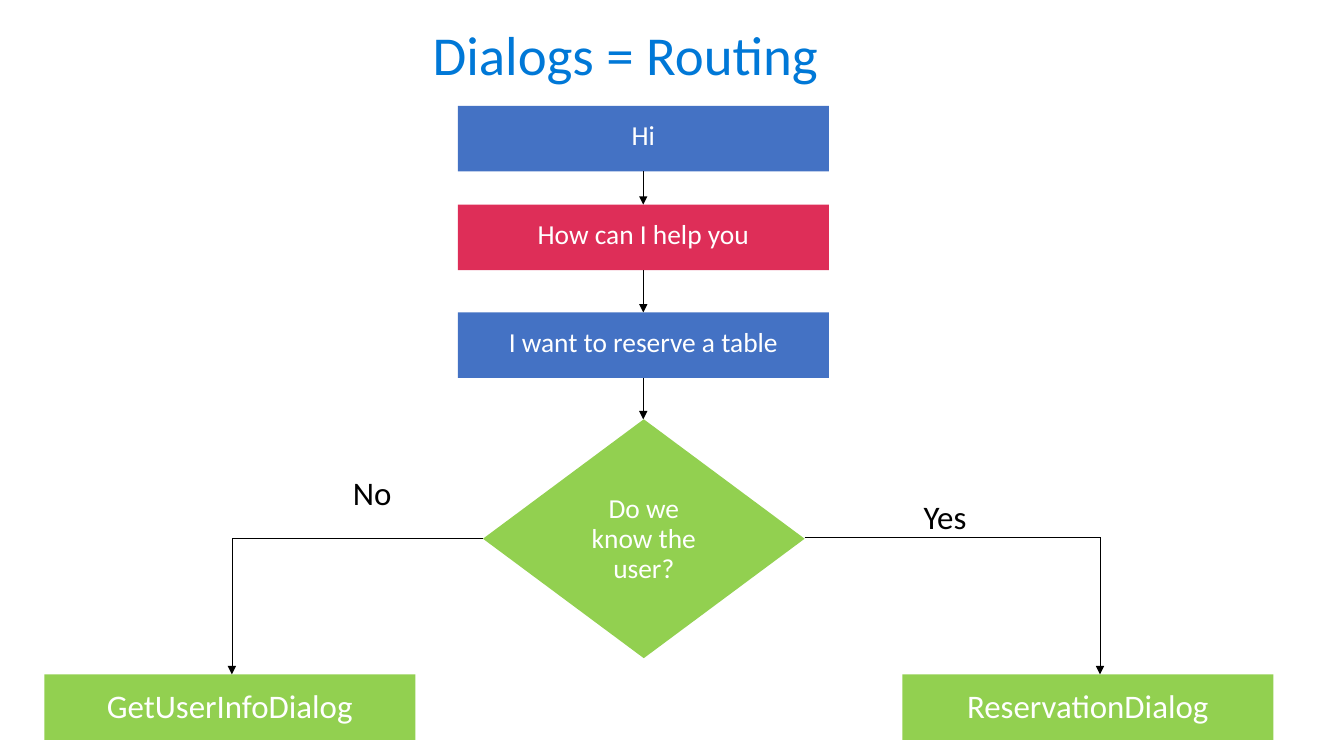
from lxml import etree
from pptx import Presentation
from pptx.dml.color import RGBColor
from pptx.enum.shapes import MSO_CONNECTOR, MSO_SHAPE
from pptx.enum.text import MSO_ANCHOR, MSO_AUTO_SIZE, PP_ALIGN
from pptx.oxml.ns import qn
from pptx.util import Inches, Pt

COLORS = {
    "user": "4472C4",
    "bot": "DE2E58",
    "dialog": "92D050",
    "title": "0078D7",
    "light": "FFFFFF",
    "dark": "000000",
}
FONT = "Calibri"

# Content: sizes and positions in inches, text sizes in points
TITLE = ("Dialogs = Routing", (4.09, 0.12, 4.26, 0.91), 39.2)
BOX_WIDTH, BOX_HEIGHT = 3.68, 0.65
COLUMN_LEFT = 4.54
MESSAGES = [
    ("Hi", "user", 1.05),
    ("How can I help you", "bot", 2.03),
    ("I want to reserve a table", "user", 3.1),
]
MESSAGE_SIZE = 19.6
QUESTION = ("Do we know the user?", (4.79, 4.16, 3.19, 2.37))
DIALOG_TOP, DIALOG_SIZE = 6.69, 23.5
# Dialog name, box left, branch x, branch y, answer, answer position
BRANCHES = [
    ("GetUserInfoDialog", 0.44, 2.3, 5.34, "No", (3.3, 4.57, 0.8, 0.67)),
    ("ReservationDialog", 8.95, 10.91, 5.33, "Yes", (8.96, 4.81, 0.83, 0.67)),
]


def color(name):
    return RGBColor.from_string(COLORS[name])


def write(box, text, size, color_name, align, wrap):
    frame = box.text_frame
    frame.margin_left = frame.margin_right = Inches(0.2)
    frame.margin_top = frame.margin_bottom = Inches(0.16)
    frame.vertical_anchor = MSO_ANCHOR.TOP
    frame.word_wrap = wrap
    frame.auto_size = MSO_AUTO_SIZE.NONE if wrap else MSO_AUTO_SIZE.SHAPE_TO_FIT_TEXT
    frame.text = text
    para = frame.paragraphs[0]
    para.alignment = align
    para.line_spacing = 0.9
    para.space_before = Pt(0)
    para.space_after = Pt(0 if wrap else 5.9)
    para.font.name = FONT
    para.font.size = Pt(size)
    para.font.color.rgb = color(color_name)


def add_node(page, kind, place, text, fill, size):
    node = page.shapes.add_shape(kind, *map(Inches, place))
    node.shadow.inherit = False
    node.fill.solid()
    node.fill.fore_color.rgb = color(fill)
    node.line.fill.background()
    write(node, text, size, "light", PP_ALIGN.CENTER, True)


def add_line(page, start, end, arrow=True):
    points = map(Inches, (*start, *end))
    link = page.shapes.add_connector(MSO_CONNECTOR.STRAIGHT, *points)
    link.line.color.rgb = color("dark")
    link.line.width = Pt(0.5)
    if arrow:
        outline = link.line._get_or_add_ln()
        etree.SubElement(outline, qn("a:tailEnd"), type="triangle")
    etree.SubElement(link._element.spPr, qn("a:effectLst"))


def main():
    deck = Presentation()
    deck.slide_width, deck.slide_height = Inches(13.33), Inches(7.5)
    page = deck.slides.add_slide(deck.slide_layouts[5])

    # Title
    text, place, size = TITLE
    title = page.shapes.title
    title.left, title.top, title.width, title.height = map(Inches, place)
    write(title, text, size, "title", PP_ALIGN.LEFT, False)

    # Conversation column, each message linked to the next step
    center = COLUMN_LEFT + BOX_WIDTH / 2
    question, diamond = QUESTION
    next_tops = [top for _, _, top in MESSAGES[1:]] + [diamond[1]]
    for (text, speaker, top), next_top in zip(MESSAGES, next_tops):
        place = (COLUMN_LEFT, top, BOX_WIDTH, BOX_HEIGHT)
        add_node(page, MSO_SHAPE.RECTANGLE, place, text, speaker, MESSAGE_SIZE)
        add_line(page, (center, top + BOX_HEIGHT), (center, next_top))

    # Decision
    add_node(page, MSO_SHAPE.DIAMOND, diamond, question, "dialog", MESSAGE_SIZE)

    # Branches from the sides of the diamond down to the dialogs
    left, right = diamond[0], diamond[0] + diamond[2]
    for name, box_left, x, y, answer, answer_place in BRANCHES:
        place = (box_left, DIALOG_TOP, BOX_WIDTH, BOX_HEIGHT)
        add_node(page, MSO_SHAPE.RECTANGLE, place, name, "dialog", DIALOG_SIZE)
        corner = (x, y)
        add_line(page, (left if x < center else right, y), corner, arrow=False)
        add_line(page, corner, (x, DIALOG_TOP))
        label = page.shapes.add_textbox(*map(Inches, answer_place))
        write(label, answer, DIALOG_SIZE, "dark", PP_ALIGN.LEFT, False)

    deck.save("out.pptx")


if __name__ == "__main__":
    main()
